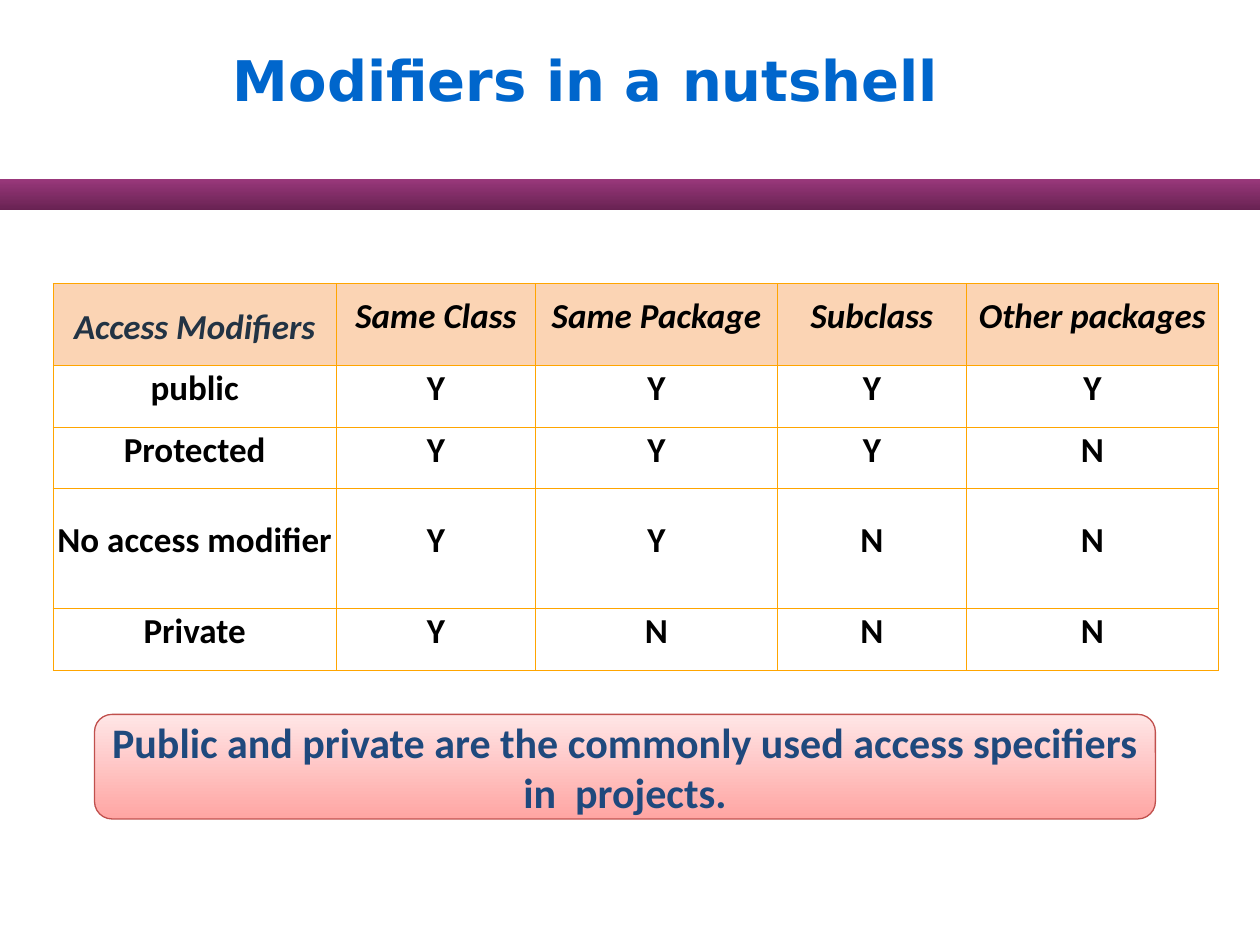
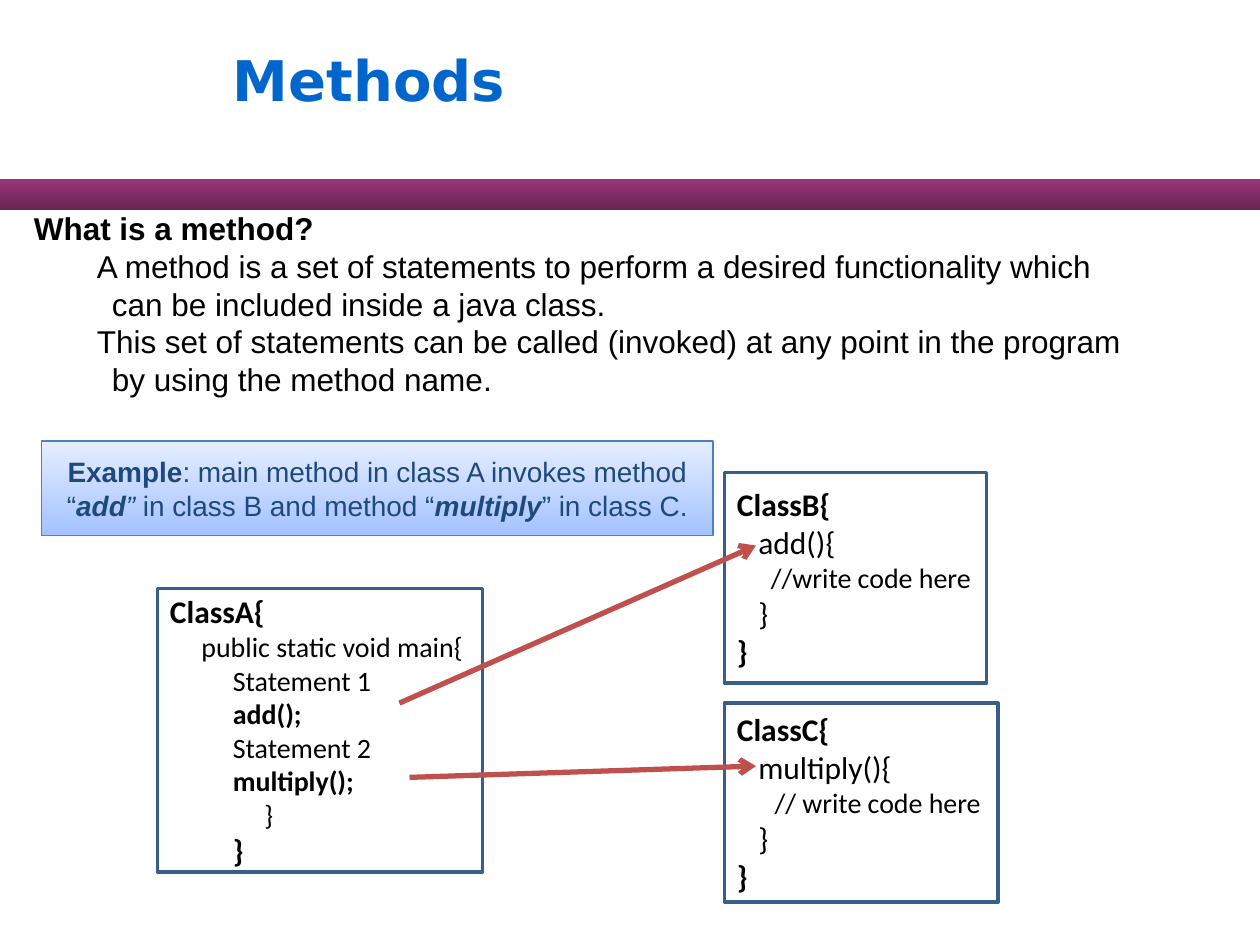
from lxml.etree import SubElement
from pptx import Presentation
from pptx.dml.color import RGBColor
from pptx.enum.shapes import MSO_CONNECTOR, MSO_SHAPE
from pptx.enum.text import MSO_ANCHOR, PP_ALIGN
from pptx.oxml.ns import qn
from pptx.util import Inches, Pt

BLACK = RGBColor(0x00, 0x00, 0x00)
WHITE = RGBColor(0xFF, 0xFF, 0xFF)
TITLE_BLUE = RGBColor(0x00, 0x66, 0xCC)
NAVY = RGBColor(0x1F, 0x49, 0x7D)
SLATE = RGBColor(0x22, 0x33, 0x44)
PEACH = RGBColor(0xFB, 0xD4, 0xB4)
ORANGE = RGBColor(0xFF, 0xA5, 0x00)
RED = RGBColor(0xC0, 0x50, 0x4D)
BLUE = RGBColor(0x4F, 0x81, 0xBD)
CODE_BORDER = RGBColor(0x39, 0x5E, 0x8A)
BAND_COLORS = (RGBColor(0x68, 0x22, 0x52), RGBColor(0x99, 0x38, 0x7B))
PINK_COLORS = (RGBColor(0xFF, 0xA5, 0xA3), RGBColor(0xFF, 0xE6, 0xE6))
SKY_COLORS = (RGBColor(0xA3, 0xC2, 0xFF), RGBColor(0xE5, 0xEE, 0xFF))

TITLE_FONT, BODY_FONT, CODE_FONT = "DejaVu Sans", "Arial", "Calibri"

COLUMN_WIDTHS = (2.25, 1.58, 1.92, 1.5, 2)
ROW_HEIGHTS = (0.65, 0.49, 0.49, 0.95, 0.49)
ACCESS_ROWS = (
    ("Access Modifiers", "Same Class", "Same Package", "Subclass", "Other packages"),
    ("public", "Y", "Y", "Y", "Y"),
    ("Protected", "Y", "Y", "Y", "N"),
    ("No access modifier", "Y", "Y", "N", "N"),
    ("Private", "Y", "N", "N", "N"),
)

CLASS_A = (
    ("ClassA{", 18, True, 0),
    ("public static void main{", 16, False, 0.25),
    ("Statement 1", 16, False, 0.5),
    ("add();", 16, True, 0.5),
    ("Statement 2", 16, False, 0.5),
    ("multiply();", 16, True, 0.5),
    ("}", 16, False, 0.75),
    ("}", 18, True, 0.5),
)
METHOD_TEXT = (
    "A method is a set of statements to perform a desired functionality which "
    "can be included inside a java class.",
    "This set of statements can be called (invoked) at any point in the program "
    "by using the method name.",
)
EXAMPLE_RUNS = (
    ("Example", True, False),
    (": main method in class A invokes method “", False, False),
    ("add", True, True),
    ("”", False, True),
    (" in class B and method “", False, False),
    ("multiply", True, True),
    ("” in class C.", False, False),
)


def add_run(paragraph, text, font_name, size, color, bold=False, italic=False):
    """Append one formatted run to a paragraph."""
    run = paragraph.add_run()
    run.text = text
    font = run.font
    font.name, font.size, font.bold, font.italic = font_name, Pt(size), bold, italic
    font.color.rgb = color


def next_paragraph(frame, margin=0, indent=0, alignment=PP_ALIGN.LEFT):
    """Return the unused first paragraph or a new one, with its indents set."""
    first = frame.paragraphs[0]
    paragraph = frame.add_paragraph() if first.runs else first
    paragraph.alignment = alignment
    properties = paragraph._p.get_or_add_pPr()
    properties.set("marL", str(Inches(margin)))
    properties.set("indent", str(Inches(indent)))
    return paragraph


def add_text_box(slide, box, anchor):
    """Add a wrapping text box and return its text frame."""
    frame = slide.shapes.add_textbox(*map(Inches, box)).text_frame
    frame.word_wrap = True
    frame.vertical_anchor = anchor
    return frame


def add_panel(slide, kind, box, fill_colors, line_color=None, line_width=0.75):
    """Add a shape with a plain or bottom-to-top gradient fill."""
    shape = slide.shapes.add_shape(kind, *map(Inches, box))
    shape.shadow.inherit = False
    if len(fill_colors) == 1:
        shape.fill.solid()
        shape.fill.fore_color.rgb = fill_colors[0]
    else:
        shape.fill.gradient()
        shape.fill.gradient_angle = 90
        for stop, color in zip(shape.fill.gradient_stops, fill_colors):
            stop.color.rgb = color
    if line_color is None:
        shape.line.fill.background()
    else:
        shape.line.color.rgb = line_color
        shape.line.width = Pt(line_width)
    shape.text_frame.word_wrap = True
    shape.text_frame.vertical_anchor = MSO_ANCHOR.MIDDLE
    return shape


def add_titled_slide(presentation, title):
    """Add a blank slide with the shared band and title."""
    slide = presentation.slides.add_slide(presentation.slide_layouts[6])
    add_panel(slide, MSO_SHAPE.RECTANGLE, (0, 1.42, 10, 0.25), BAND_COLORS)
    frame = add_text_box(slide, (1.75, 0, 8.25, 1.25), MSO_ANCHOR.MIDDLE)
    add_run(next_paragraph(frame), title, TITLE_FONT, 32, TITLE_BLUE, bold=True)
    return slide


def set_cell_borders(cell):
    """Draw a thin orange line on all four sides of a cell."""
    properties = cell._tc.get_or_add_tcPr()
    for side in ("lnL", "lnR", "lnT", "lnB"):
        line = SubElement(properties, qn(f"a:{side}"), w=str(Pt(0.45)))
        fill = SubElement(line, qn("a:solidFill"))
        SubElement(fill, qn("a:srgbClr"), val=str(ORANGE))


def fill_access_cell(cell, text, is_header, is_corner):
    """Format one cell of the access table and write its text."""
    set_cell_borders(cell)
    if is_header:
        cell.fill.solid()
        cell.fill.fore_color.rgb = PEACH
    else:
        cell.fill.background()
    cell.margin_left = cell.margin_right = Inches(0.01)
    cell.vertical_anchor = MSO_ANCHOR.MIDDLE
    paragraph = next_paragraph(cell.text_frame, alignment=PP_ALIGN.CENTER)
    paragraph.line_spacing = 1.15 if is_corner else Pt(15.7)
    if is_corner:
        paragraph.space_after = Pt(10)
    color = SLATE if is_corner else BLACK
    add_run(paragraph, text, CODE_FONT, 20, color, bold=True, italic=is_header)


def add_access_table(slide, left, top):
    """Add the table of access modifiers at the given corner."""
    size = (sum(COLUMN_WIDTHS), sum(ROW_HEIGHTS))
    table = slide.shapes.add_table(
        len(ROW_HEIGHTS), len(COLUMN_WIDTHS), *map(Inches, (left, top, *size))
    ).table
    table.first_row = table.horz_banding = False
    for column, width in zip(table.columns, COLUMN_WIDTHS):
        column.width = Inches(width)
    for row, height in zip(table.rows, ROW_HEIGHTS):
        row.height = Inches(height)
    for row_index, texts in enumerate(ACCESS_ROWS):
        for column_index, text in enumerate(texts):
            is_header = row_index == 0
            fill_access_cell(table.cell(row_index, column_index), text,
                             is_header, is_header and column_index == 0)


def add_usage_note(slide, box):
    """Add the rounded note on commonly used specifiers."""
    shape = add_panel(slide, MSO_SHAPE.ROUNDED_RECTANGLE, box, PINK_COLORS, RED)
    paragraph = next_paragraph(shape.text_frame, alignment=PP_ALIGN.CENTER)
    add_run(paragraph,
            "Public and private are the commonly used access specifiers in  projects.",
            CODE_FONT, 24, NAVY, bold=True)


def add_method_definition(slide, box):
    """Add the question and the two statements answering it."""
    frame = add_text_box(slide, box, MSO_ANCHOR.TOP)
    add_run(next_paragraph(frame, 0.12, -0.12), "What is a method?",
            BODY_FONT, 18, BLACK, bold=True)
    for text in METHOD_TEXT:
        add_run(next_paragraph(frame, 0.62, -0.12), text, BODY_FONT, 18, BLACK)


def add_code_box(slide, box, lines):
    """Add a framed listing of (text, size, bold, margin) lines."""
    shape = add_panel(slide, MSO_SHAPE.FLOWCHART_PROCESS, box, (WHITE,), CODE_BORDER, 2)
    for text, size, bold, margin in lines:
        paragraph = next_paragraph(shape.text_frame, margin)
        add_run(paragraph, text, CODE_FONT, size, BLACK, bold)


def called_class(name, method, comment, comment_margin):
    """Return the code lines of a class holding one method."""
    return (
        (f"{name}{{", 18, True, 0),
        (f"{method}(){{", 18, False, 0.17),
        (comment, 16, False, comment_margin),
        ("}", 18, False, 0.17),
        ("}", 18, True, 0),
    )


def add_call_arrow(slide, start, end):
    """Add an arrow from a call to the method it invokes."""
    connector = slide.shapes.add_connector(
        MSO_CONNECTOR.STRAIGHT, *map(Inches, (*start, *end)))
    connector.line.color.rgb = RED
    connector.line.width = Pt(3)
    SubElement(connector.line._get_or_add_ln(), qn("a:tailEnd"), type="arrow")
    SubElement(connector._element.spPr, qn("a:effectLst"))


def add_example_note(slide, box):
    """Add the note that explains the example calls."""
    shape = add_panel(slide, MSO_SHAPE.RECTANGLE, box, SKY_COLORS, BLUE)
    paragraph = next_paragraph(shape.text_frame, alignment=PP_ALIGN.CENTER)
    for text, bold, italic in EXAMPLE_RUNS:
        add_run(paragraph, text, BODY_FONT, 16, NAVY, bold, italic)


def build_modifiers_slide(presentation):
    """Build the summary of access modifiers."""
    slide = add_titled_slide(presentation, "Modifiers in a nutshell")
    add_access_table(slide, 0.42, 2.25)
    add_usage_note(slide, (0.75, 5.67, 8.42, 0.83))


def build_methods_slide(presentation):
    """Build the introduction to methods with its call diagram."""
    slide = add_titled_slide(presentation, "Methods")
    add_method_definition(slide, (0.17, 1.61, 8.92, 2.2))
    add_code_box(slide, (1.25, 4.67, 2.58, 2.25), CLASS_A)
    add_code_box(slide, (5.75, 3.75, 2.08, 1.67),
                 called_class("ClassB", "add", "//write code here", 0.27))
    add_code_box(slide, (5.75, 5.58, 2.17, 1.58),
                 called_class("ClassC", "multiply", "// write code here", 0.3))
    add_call_arrow(slide, (3.17, 5.58), (6, 4.33))
    add_call_arrow(slide, (3.25, 6.17), (6, 6.08))
    add_example_note(slide, (0.33, 3.5, 5.33, 0.75))


def main():
    """Create and save the presentation."""
    presentation = Presentation()
    presentation.slide_width, presentation.slide_height = Inches(10), Inches(7.5)
    build_modifiers_slide(presentation)
    build_methods_slide(presentation)
    presentation.save("out.pptx")


if __name__ == "__main__":
    main()
